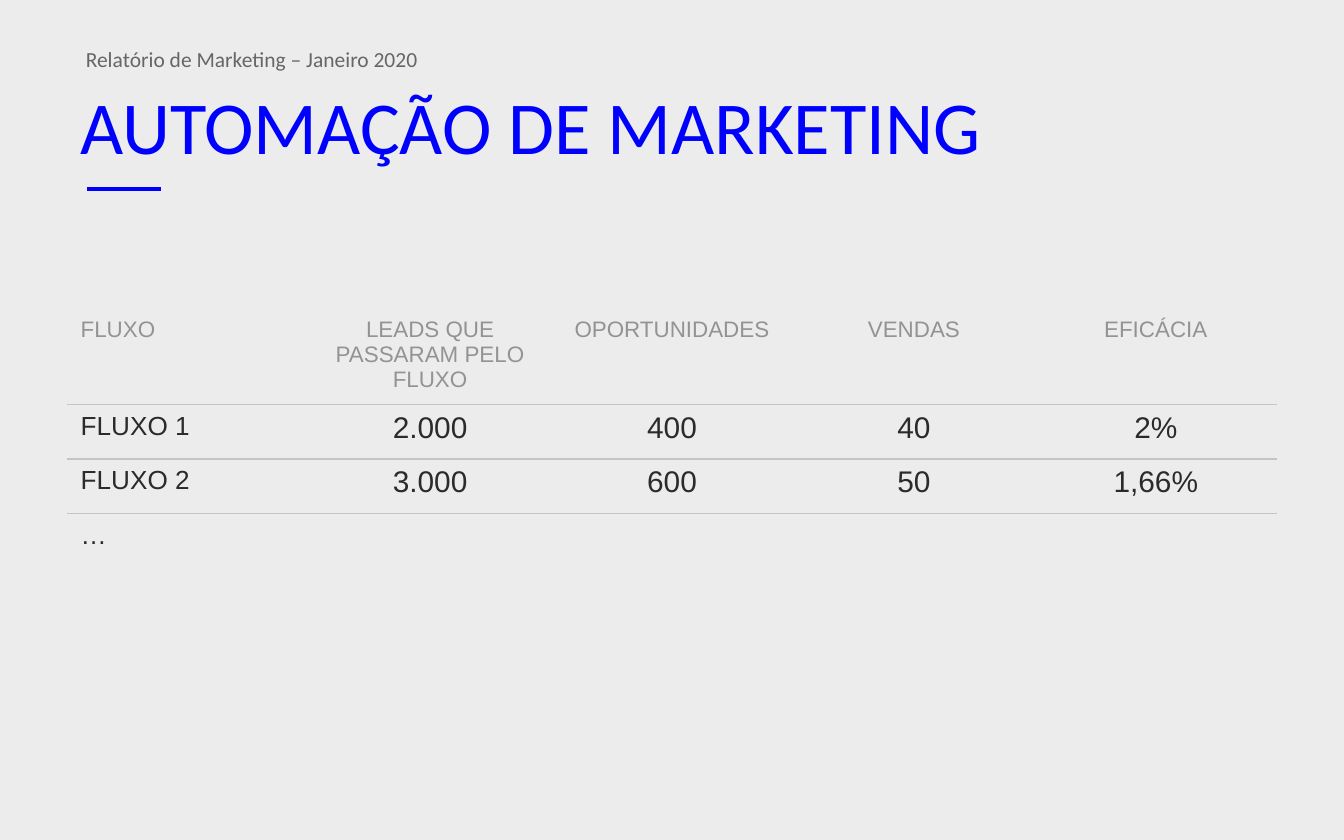
from lxml.etree import SubElement
from pptx import Presentation
from pptx.dml.color import RGBColor
from pptx.enum.shapes import MSO_CONNECTOR
from pptx.enum.text import MSO_ANCHOR, PP_ALIGN
from pptx.oxml import parse_xml
from pptx.oxml.ns import nsdecls, qn
from pptx.util import Pt

COLORS = {
    "back": "ECECEC",
    "blue": "0000FF",
    "gray": "666666",
    "head": "939393",
    "ink": "2B2B2B",
    "rule": "C4C4C4",
}
FORMATS = {
    "title": {"name": "Calibri", "size": Pt(40), "color": "blue"},
    "note": {"name": "Calibri", "size": Pt(11.5), "color": "gray"},
    "head": {"name": "Arial", "size": Pt(12), "color": "head"},
    "label": {"name": "Arial", "size": Pt(14), "color": "ink"},
    "value": {"name": "Arial", "size": Pt(16), "color": "ink"},
}
ROWS = [
    ["FLUXO", "LEADS QUE PASSARAM PELO FLUXO", "OPORTUNIDADES", "VENDAS", "EFICÁCIA"],
    ["FLUXO 1", "2.000", "400", "40", "2%"],
    ["FLUXO 2", "3.000", "600", "50", "1,66%"],
    ["…", "", "", "", ""],
]


class Deck:
    def __init__(self, wide, high):
        self.file = Presentation()
        self.file.slide_width, self.file.slide_height = Pt(wide), Pt(high)
        self.slide = self.file.slides.add_slide(self.file.slide_layouts[6])
        fill = self.slide.background.fill
        fill.solid()
        fill.fore_color.rgb = self.color("back")

    def color(self, name):
        return RGBColor.from_string(COLORS[name])

    def style(self, font, kind):
        for key, value in FORMATS[kind].items():
            if key == "color":
                font.color.rgb = self.color(value)
            else:
                setattr(font, key, value)

    def put(self, frame, text, kind, **layout):
        para = frame.paragraphs[0]
        for key, value in layout.items():
            setattr(para, key, value)
        if text:
            run = para.add_run()
            run.text = text
            self.style(run.font, kind)

    def text(self, text, kind, box, anchor=MSO_ANCHOR.TOP, **layout):
        frame = self.slide.shapes.add_textbox(*map(Pt, box)).text_frame
        frame.word_wrap = True
        frame.vertical_anchor = anchor
        self.put(frame, text, kind, **layout)

    def line(self, left, right, top):
        line = self.slide.shapes.add_connector(
            MSO_CONNECTOR.STRAIGHT, Pt(left), Pt(top), Pt(right), Pt(top))
        line.line.width = Pt(2)
        line.line.color.rgb = self.color("blue")
        SubElement(line._element.spPr, qn("a:effectLst"))

    def border(self, cell, sides):
        props = cell._tc.get_or_add_tcPr()
        for spot, side in enumerate("LRTB"):
            paint = "<a:noFill/>"
            if side in sides:
                paint = f'<a:solidFill><a:srgbClr val="{COLORS["rule"]}"/></a:solidFill>'
            props.insert(spot, parse_xml(
                f'<a:ln{side} {nsdecls("a")} w="{Pt(1)}">{paint}</a:ln{side}>'))

    def table(self, rows, left, top, wide, high):
        count, last = len(rows[0]), len(rows) - 1
        grid = self.slide.shapes.add_table(
            len(rows), count, Pt(left), Pt(top),
            Pt(wide * count), Pt(high * len(rows))).table
        grid.first_row = grid.horz_banding = False
        for r, row in enumerate(rows):
            for c, text in enumerate(row):
                cell = grid.cell(r, c)
                cell.fill.background()
                kind = "head" if r == 0 else "value" if c else "label"
                align = PP_ALIGN.CENTER if c else PP_ALIGN.LEFT
                self.put(cell.text_frame, text, kind, alignment=align)
                self.border(cell, "T" * (r > 0) + "B" * (r < last))


def main():
    deck = Deck(720, 450)
    deck.line(46.8, 86.4, 101.3)
    deck.text("AUTOMAÇÃO DE MARKETING", "title", (36, 41.8, 648, 50.4), MSO_ANCHOR.MIDDLE)
    deck.table(ROWS, 36, 166.3, 129.6, 29.2)
    deck.text("Relatório de Marketing – Janeiro 2020", "note",
              (38.9, 23.8, 648, 19.4), line_spacing=0.8)
    deck.file.save("out.pptx")


if __name__ == "__main__":
    main()
